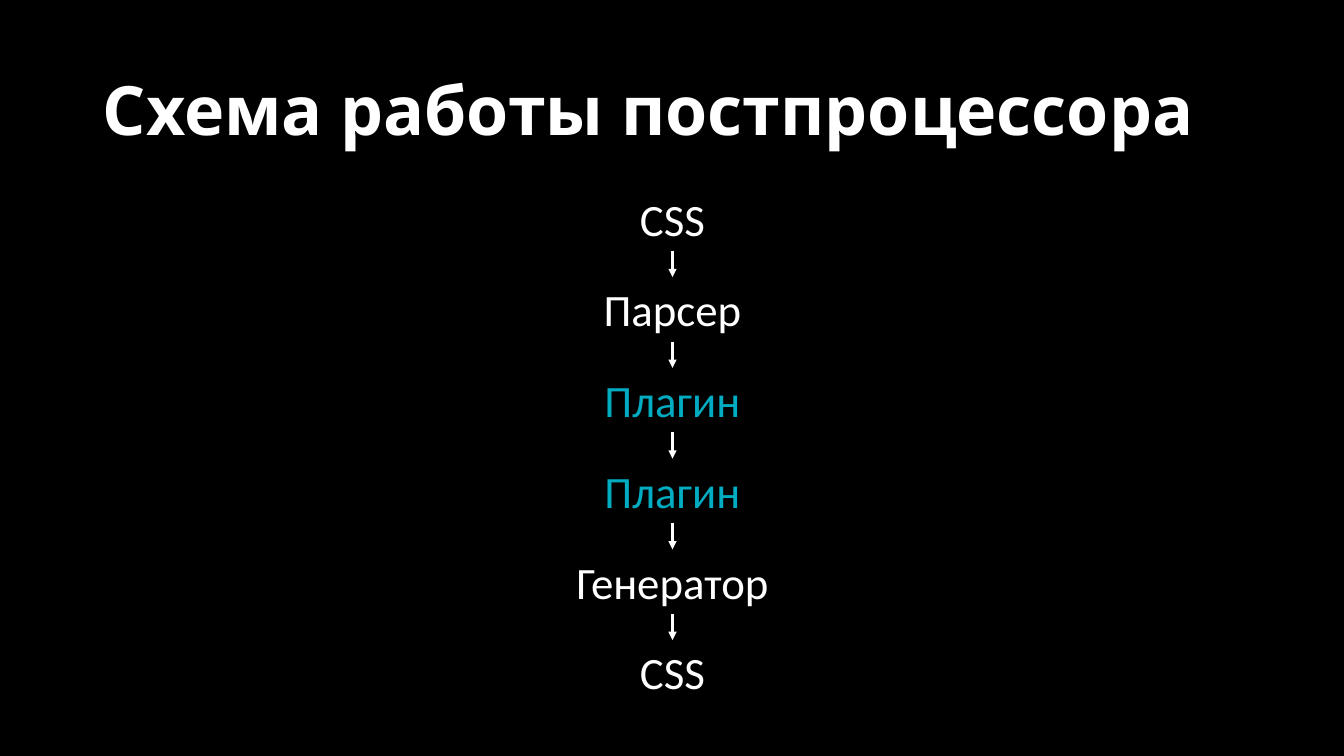
from itertools import pairwise

from lxml.etree import SubElement
from pptx import Presentation
from pptx.dml.color import RGBColor
from pptx.enum.shapes import MSO_CONNECTOR
from pptx.enum.text import MSO_ANCHOR, MSO_AUTO_SIZE, PP_ALIGN
from pptx.oxml.ns import qn
from pptx.util import Emu, Pt

SCALE = 9144
COLORS = {"back": "000000", "text": "FFFFFF", "plugin": "00ACC1"}
TITLE = {
    "frame": {"word_wrap": True, "vertical_anchor": MSO_ANCHOR.MIDDLE},
    "para": {"alignment": PP_ALIGN.LEFT, "line_spacing": 0.9},
    "font": {"name": "Open Sans", "size": Pt(48.6), "bold": True},
}
STEP = {
    "frame": {"word_wrap": False, "auto_size": MSO_AUTO_SIZE.SHAPE_TO_FIT_TEXT},
    "para": {"alignment": PP_ALIGN.CENTER},
    "font": {"name": "Calibri", "size": Pt(32)},
}
STEPS = [
    ("CSS", 86, "text"),
    ("Парсер", 158, "text"),
    ("Плагин", 156, "plugin"),
    ("Плагин", 156, "plugin"),
    ("Генератор", 214, "text"),
    ("CSS", 86, "text"),
]
CENTER, TOP, HEIGHT, PITCH = 667, 185, 64, 90


def px(count):
    return Emu(count * SCALE)


class Deck:
    def __init__(self, width, height):
        self.show = Presentation()
        self.show.slide_width, self.show.slide_height = px(width), px(height)
        self.slide = self.show.slides.add_slide(self.show.slide_layouts[6])
        self.paint(self.slide.background.fill, "back")

    def paint(self, fill, color):
        fill.solid()
        fill.fore_color.rgb = RGBColor.from_string(COLORS[color])

    def text(self, words, left, top, width, height, style, color="text"):
        box = self.slide.shapes.add_textbox(px(left), px(top), px(width), px(height))
        frame = box.text_frame
        para = frame.paragraphs[0]
        run = para.add_run()
        run.text = words
        parts = {"frame": frame, "para": para, "font": run.font}
        for part, values in style.items():
            for name, value in values.items():
                setattr(parts[part], name, value)
        self.paint(run.font.fill, color)
        return box

    def arrow(self, start, end):
        line = self.slide.shapes.add_connector(MSO_CONNECTOR.STRAIGHT, 0, 0, 0, 0)
        line.begin_connect(start, 2)
        line.end_connect(end, 0)
        line.line.width = Pt(1.5)
        self.paint(line.line.fill, "text")
        SubElement(line.line._get_or_add_ln(), qn("a:tailEnd"), type="triangle")
        SubElement(line._element.spPr, qn("a:effectLst"))

    def save(self):
        self.show.save("out.pptx")


def main():
    deck = Deck(1333, 750)
    deck.text("Схема работы постпроцессора", 92, 40, 1150, 145, TITLE)
    boxes = [
        deck.text(words, CENTER - width // 2, TOP + row * PITCH, width, HEIGHT, STEP, color)
        for row, (words, width, color) in enumerate(STEPS)
    ]
    for start, end in pairwise(boxes):
        deck.arrow(start, end)
    deck.save()


if __name__ == "__main__":
    main()
